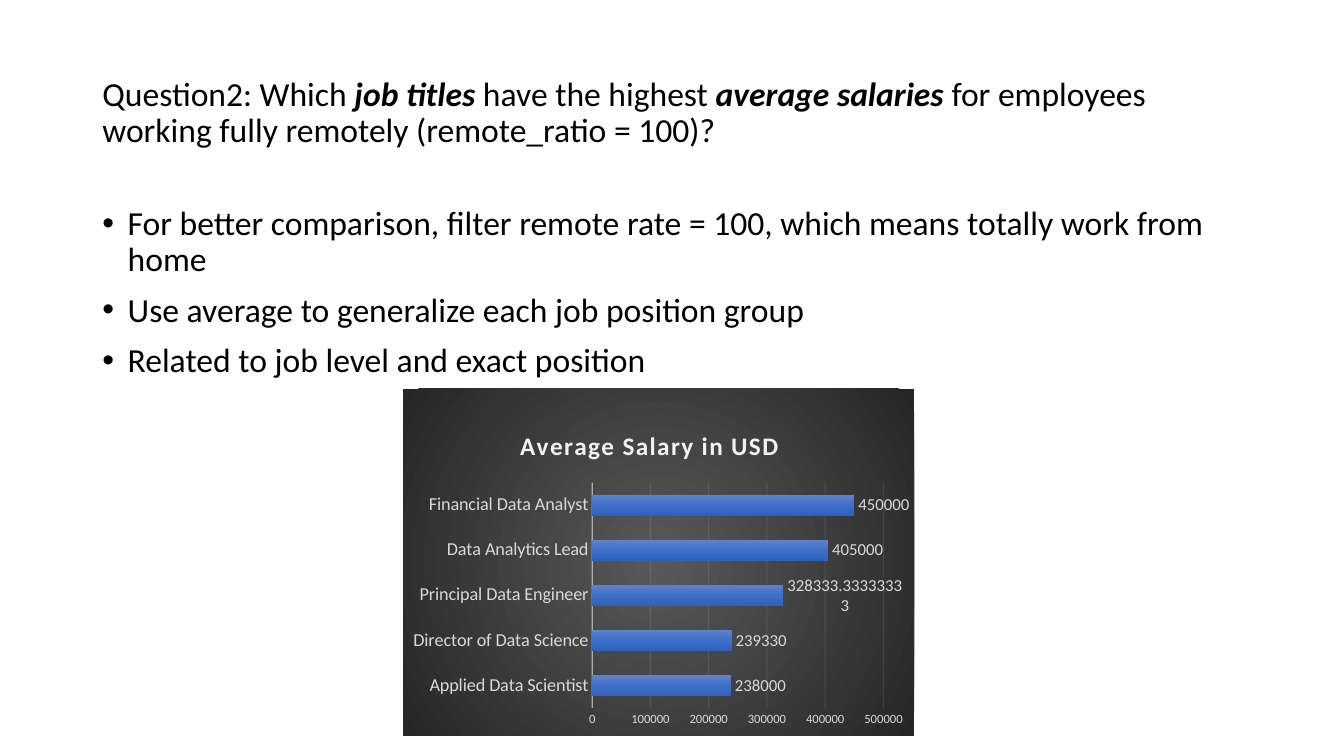
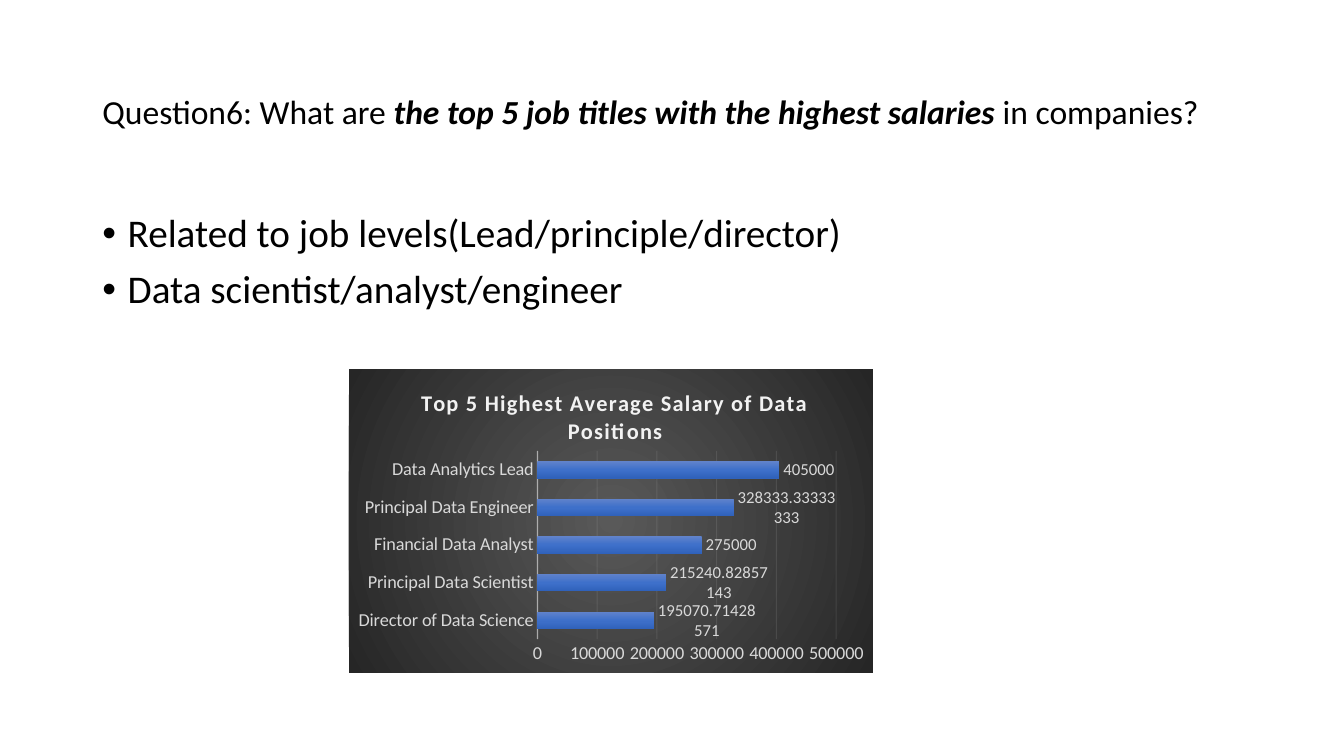
from dataclasses import dataclass
from typing import Any

from lxml import etree
from pptx import Presentation
from pptx.chart.data import CategoryChartData
from pptx.dml.color import RGBColor
from pptx.enum.chart import XL_CHART_TYPE, XL_LABEL_POSITION, XL_TICK_MARK
from pptx.enum.text import MSO_ANCHOR
from pptx.oxml import parse_xml
from pptx.oxml.ns import nsdecls, qn
from pptx.util import Cm, Pt

BAR = XL_CHART_TYPE.BAR_CLUSTERED
OUTSIDE = XL_LABEL_POSITION.OUTSIDE_END
NO_TICK = XL_TICK_MARK.NONE
MIDDLE = MSO_ANCHOR.MIDDLE

BLACK = RGBColor(0x00, 0x00, 0x00)
PALE = RGBColor(0xF2, 0xF2, 0xF2)
SILVER = RGBColor(0xD9, 0xD9, 0xD9)
DARK = (RGBColor(0x59, 0x59, 0x59), RGBColor(0x26, 0x26, 0x26))
BLUES = (
    RGBColor(0x61, 0x83, 0xCB),
    RGBColor(0x3E, 0x70, 0xCA),
    RGBColor(0x30, 0x62, 0xBB),
)
GLOW = (
    '<a:path path="circle"><a:fillToRect l="50000" t="50000" '
    'r="50000" b="50000"/></a:path>'
)
DOWN = '<a:lin ang="5400000" scaled="0"/>'

FACE = "Calibri"
LEFT, WIDTH = 2.33, 29.21
HEAD_TOP, HEAD_TALL, BODY_TALL = 1.02, 3.68, 12.09
INDENT = Cm(0.64)
VALUE_AXIS = {
    "minimum_scale": 0,
    "maximum_scale": 500000,
    "major_unit": 100000,
    "major_tick_mark": NO_TICK,
}
LABELS = {"show_value": True, "position": OUTSIDE}
BARS = {"gap_width": 115, "overlap": -20, "vary_by_categories": False}


@dataclass(frozen=True)
class Graph:
    """A bar chart; box is in centimetres, spot and plot are shares of it."""

    box: tuple[float, ...]
    title: str
    size: int
    spot: tuple[float, ...]
    plot: tuple[float, ...]
    scale: int
    pay: dict[str, float]


@dataclass(frozen=True)
class Page:
    """Every second part of the heading is stressed."""

    head: tuple[str, ...]
    top: float
    size: int
    points: tuple[str, ...]
    graph: Graph


PAGES = (
    Page(
        head=(
            "Question2: Which ",
            "job titles ",
            "have the highest ",
            "average salaries ",
            "for employees working fully remotely (remote_ratio = 100)?",
        ),
        top=5.08,
        size=24,
        points=(
            "For better comparison, filter remote rate = 100, "
            "which means totally work from home",
            "Use average to generalize each job position group",
            "Related to job level and exact position",
        ),
        graph=Graph(
            box=(10.16, 9.8, 12.88, 8.74),
            title="Average Salary in USD",
            size=18,
            spot=(0.22, 0.1),
            plot=(0.37, 0.27, 0.57, 0.65),
            scale=9,
            pay={
                "Applied Data Scientist": 238000,
                "Director of Data Science": 239330,
                "Principal Data Engineer": 328333.33333333,
                "Data Analytics Lead": 405000,
                "Financial Data Analyst": 450000,
            },
        ),
    ),
    Page(
        head=(
            "Question6: What are ",
            "the top 5 job titles with the highest salaries ",
            "in companies?",
        ),
        top=5.26,
        size=28,
        points=(
            "Related to job levels(Lead/principle/director)",
            "Data scientist/analyst/engineer",
        ),
        graph=Graph(
            box=(8.79, 9.3, 13.21, 7.65),
            title="Top 5 Highest Average Salary of Data Positions",
            size=16,
            spot=(0.13, 0.05),
            plot=(0.36, 0.27, 0.57, 0.62),
            scale=13,
            pay={
                "Director of Data Science": 195070.71428571,
                "Principal Data Scientist": 215240.82857143,
                "Financial Data Analyst": 275000,
                "Principal Data Engineer": 328333.33333333,
                "Data Analytics Lead": 405000,
            },
        ),
    ),
)


def apply(target: Any, values: dict[str, Any]) -> None:
    for name, value in values.items():
        setattr(target, name, value)


def style(font: Any, size: int, color: RGBColor, **more: bool) -> None:
    apply(font, {"name": FACE, "size": Pt(size), **more})
    font.color.rgb = color


def blend(colors: tuple[RGBColor, ...], path: str) -> Any:
    """Return shape properties with an evenly stepped gradient."""
    step = 100000 // (len(colors) - 1)
    stops = "".join(
        f'<a:gs pos="{i * step}"><a:srgbClr val="{color}"/></a:gs>'
        for i, color in enumerate(colors)
    )
    return parse_xml(
        f'<c:spPr {nsdecls("c", "a")}><a:gradFill rotWithShape="1">'
        f"<a:gsLst>{stops}</a:gsLst>{path}</a:gradFill>"
        "<a:ln><a:noFill/></a:ln></c:spPr>"
    )


def place(parent: Any, index: int, spot: tuple[float, ...]) -> None:
    """Fix a chart part at shares of the chart area."""
    for old in parent.findall(qn("c:layout")):
        parent.remove(old)
    layout = etree.Element(qn("c:layout"))
    manual = etree.SubElement(layout, qn("c:manualLayout"))
    pairs = [("xMode", "edge"), ("yMode", "edge"), *zip("xywh", spot)]
    if len(spot) == 4:
        pairs.insert(0, ("layoutTarget", "inner"))
    for tag, value in pairs:
        etree.SubElement(manual, qn(f"c:{tag}")).set("val", str(value))
    parent.insert(index, layout)


def fade(axis: Any, share: int) -> None:
    """Make the lines of an axis see-through."""
    for color in axis._element.xpath(".//a:ln//a:srgbClr"):
        etree.SubElement(color, qn("a:alpha")).set("val", str(share * 1000))


def add_text(slide: Any, top: float, height: float) -> Any:
    box = slide.shapes.add_textbox(Cm(LEFT), Cm(top), Cm(WIDTH), Cm(height))
    box.text_frame.word_wrap = True
    return box.text_frame


def add_head(slide: Any, parts: tuple[str, ...]) -> None:
    frame = add_text(slide, HEAD_TOP, HEAD_TALL)
    frame.vertical_anchor = MIDDLE
    line = frame.paragraphs[0]
    line.line_spacing = 0.9
    for i, part in enumerate(parts):
        run = line.add_run()
        run.text = part
        stress = i % 2 == 1
        style(run.font, 24, BLACK, bold=stress, italic=stress)


def add_points(slide: Any, page: Page) -> None:
    frame = add_text(slide, page.top, BODY_TALL)
    for i, point in enumerate(page.points):
        line = frame.add_paragraph() if i else frame.paragraphs[0]
        apply(line, {"line_spacing": 0.9, "space_before": Pt(10)})
        run = line.add_run()
        run.text = point
        style(run.font, page.size, BLACK)
        props = line._p.get_or_add_pPr()
        props.set("marL", str(INDENT))
        props.set("indent", str(-INDENT))
        etree.SubElement(props, qn("a:buFont")).set("typeface", "Arial")
        etree.SubElement(props, qn("a:buChar")).set("char", "•")


def add_title(chart: Any, graph: Graph) -> None:
    chart.has_title = True
    frame = chart.chart_title.text_frame
    frame.text = graph.title
    run = frame.paragraphs[0].runs[0]
    style(run.font, graph.size, PALE, bold=True)
    run._r.get_or_add_rPr().set("spc", "100")
    place(chart.chart_title._element, 1, graph.spot)


def style_axes(chart: Any, scale: int) -> None:
    names = chart.category_axis
    names.major_tick_mark = NO_TICK
    style(names.tick_labels.font, 13, SILVER)
    names.format.line.color.rgb = PALE
    names.format.line.width = Pt(1)
    fade(names, 54)

    values = chart.value_axis
    apply(values, VALUE_AXIS)
    style(values.tick_labels.font, scale, SILVER)
    values.format.line.fill.background()
    grid = values.major_gridlines.format.line
    grid.color.rgb = PALE
    grid.width = Pt(0.75)
    fade(values, 10)


def add_graph(slide: Any, graph: Graph) -> None:
    data = CategoryChartData()
    data.categories = list(graph.pay)
    data.add_series("Series 1", list(graph.pay.values()))
    box = [Cm(length) for length in graph.box]
    chart = slide.shapes.add_chart(BAR, *box, data).chart
    chart.has_legend = False
    style(chart.font, graph.scale, BLACK)
    add_title(chart, graph)
    style_axes(chart, graph.scale)

    plot = chart.plots[0]
    apply(plot, {**BARS, "has_data_labels": True})
    apply(plot.data_labels, LABELS)
    style(plot.data_labels.font, 12, SILVER)
    series = plot.series[0]._element
    series.find(qn("c:tx")).addnext(blend(BLUES, DOWN))

    body = chart._chartSpace.find(qn("c:chart"))
    body.addnext(blend(DARK, GLOW))
    place(body.find(qn("c:plotArea")), 0, graph.plot)


def main() -> None:
    deck = Presentation()
    apply(deck, {"slide_width": Cm(33.87), "slide_height": Cm(19.05)})
    for page in PAGES:
        slide = deck.slides.add_slide(deck.slide_layouts[6])
        add_head(slide, page.head)
        add_points(slide, page)
        add_graph(slide, page.graph)
    deck.save("out.pptx")


if __name__ == "__main__":
    main()
